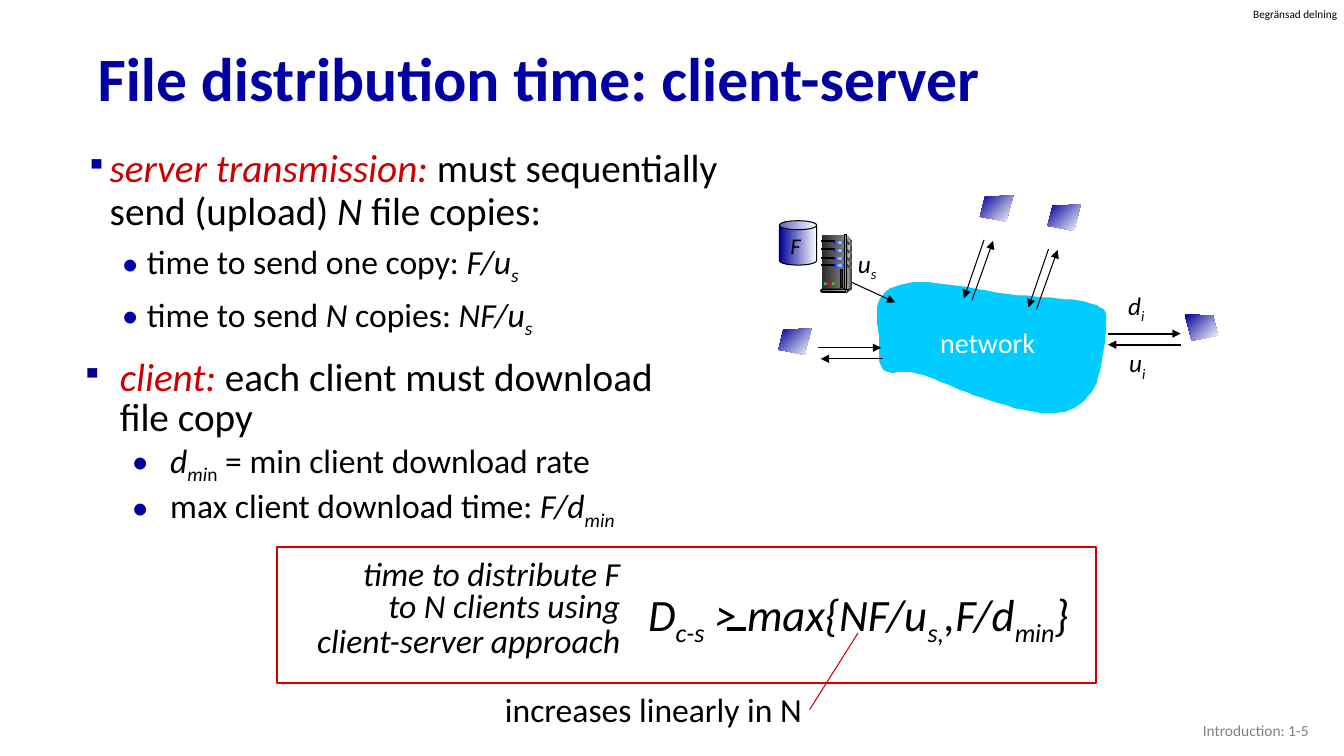
from dataclasses import dataclass

from lxml import etree
from pptx import Presentation
from pptx.dml.color import RGBColor
from pptx.enum.shapes import MSO_CONNECTOR as CONN, MSO_SHAPE as SHAPE
from pptx.enum.text import MSO_ANCHOR as ANCHOR, PP_ALIGN as ALIGN
from pptx.oxml.ns import qn
from pptx.util import Pt

PX = 9144  # 100 px to the inch
BLACK, RED, NAVY = "000000", "CC0000", "000099"
STEEL = ["292929", "808080"]
SHINE = ["0000FF", "99CCFF", "0000FF"]


@dataclass
class Para:
    runs: list  # (text, flags): i italic, _ subscript, r red
    size: int
    color: str = BLACK
    align: ALIGN = ALIGN.LEFT
    bold: bool = False
    spacing: float = 1.0
    before: int = 0
    bullet: str = ""
    bullet_color: str = NAVY
    left: int = 0
    hang: int = 0
    level: int = 0


def rgb(hex_color):
    return RGBColor.from_string(hex_color)


def sub(parent, tag, **attrs):
    return etree.SubElement(parent, qn(tag), attrs)


# Drawing helpers
def paint(sp, fill=None, line=None, width=0.75, angle=0):
    """A list of colours as fill makes an evenly spaced gradient."""
    sp.shadow.inherit = False
    if isinstance(fill, list):
        sp.fill.gradient()
        grad = sp._element.spPr.find(qn("a:gradFill"))
        for child in list(grad):
            grad.remove(child)
        stops = sub(grad, "a:gsLst")
        for i, color in enumerate(fill):
            gs = sub(stops, "a:gs", pos=str(100000 * i // (len(fill) - 1)))
            sub(gs, "a:srgbClr", val=color)
        sub(grad, "a:lin", ang=str(angle * 60000), scaled="0")
    elif fill:
        sp.fill.solid()
        sp.fill.fore_color.rgb = rgb(fill)
    else:
        sp.fill.background()
    if line:
        sp.line.color.rgb = rgb(line)
        sp.line.width = Pt(width)
    else:
        sp.line.fill.background()


def add_shape(s, kind, box, fill=None, line=None, width=0.75, adj=None):
    sp = s.shapes.add_shape(kind, *[v * PX for v in box])
    if adj is not None:
        sp.adjustments[0] = adj
    paint(sp, fill, line, width)


def add_outline(s, x, y, points, fill, angle=0):
    points = [(x + px, y + py) for px, py in points]
    builder = s.shapes.build_freeform(*points[0], scale=PX)
    builder.add_line_segments(points[1:], close=True)
    paint(builder.convert_to_shape(), fill, angle=angle)


def add_line(s, x1, y1, x2, y2, color=BLACK, width=0.75, arrow=False):
    ln = s.shapes.add_connector(CONN.STRAIGHT, x1 * PX, y1 * PX, x2 * PX, y2 * PX)
    ln.line.color.rgb = rgb(color)
    ln.line.width = Pt(width)
    sub(ln._element.spPr, "a:effectLst")
    if arrow:
        sub(ln.line._get_or_add_ln(), "a:tailEnd", type="triangle")


def add_bullet(p, para):
    pPr = p._p.get_or_add_pPr()
    pPr.set("marL", str(para.left * PX))
    pPr.set("indent", str(-para.hang * PX))
    sub(sub(pPr, "a:buClr"), "a:srgbClr", val=para.bullet_color)
    if para.bullet == "▪":
        sub(pPr, "a:buSzPct", val="75000")
    else:
        sub(pPr, "a:buFont", typeface="Calibri")
    sub(pPr, "a:buChar", char=para.bullet)


def add_text(s, box, paras, anchor=ANCHOR.TOP, inset=True):
    tf = s.shapes.add_textbox(*[v * PX for v in box]).text_frame
    tf.word_wrap = True
    tf.vertical_anchor = anchor
    if not inset:
        tf.margin_left = tf.margin_right = tf.margin_top = tf.margin_bottom = 0
    for i, para in enumerate(paras):
        p = tf.add_paragraph() if i else tf.paragraphs[0]
        p.alignment, p.level = para.align, para.level
        p.line_spacing = para.spacing
        p.space_before = Pt(para.before)
        if para.bullet:
            add_bullet(p, para)
        all_italic = all("i" in flags for _, flags in para.runs)
        p.font.name, p.font.size, p.font.bold = "Calibri", Pt(para.size), para.bold
        p.font.color.rgb = rgb(para.color)
        if all_italic:
            p.font.italic = True
        for text, flags in para.runs:
            r = p.add_run()
            r.text = text
            if "i" in flags and not all_italic:
                r.font.italic = True
            if "r" in flags:
                r.font.color.rgb = rgb(RED)
            if "_" in flags:
                r._r.get_or_add_rPr().set("baseline", "-25000")


def bezier(start, curves, steps=12):
    points = [start]
    for a, b, c in curves:
        p0 = points[-1]
        for t in (k / steps for k in range(1, steps + 1)):
            u = 1 - t
            points.append(tuple(
                u**3 * p0[j] + 3 * u * u * t * a[j] + 3 * u * t * t * b[j] + t**3 * c[j] for j in (0, 1)))
    return points


# Regions
def header_and_footer(s, x, y, w, h):
    add_text(s, (x + w - 90, y + 7, 90, 13), [Para([("Begränsad delning", "")], 8)], inset=False)
    add_text(s, (x + w - 325, y + h - 45, 300, 40),
             [Para([("Introduction: 1-5", "")], 11, "808080", ALIGN.RIGHT)], ANCHOR.MIDDLE)
    add_text(s, (x + 87, y + 32, 1150, 98),
             [Para([("File distribution time: client-server", "")], 44, "0000A3", bold=True, spacing=0.9)],
             ANCHOR.MIDDLE)


def bullets(s, x, y, w, h):
    step = dict(size=24, before=5, bullet="•", bullet_color="0000A8", left=76, hang=25, level=1)
    add_text(s, (x, y, w, 220), [
        Para([("server transmission: ", "ir"), ("must sequentially send (upload) ", ""), ("N ", "i"),
              ("file copies:", "")], 28, spacing=0.9, bullet="▪", bullet_color="0000A3", left=39, hang=24),
        Para([("time to send one copy: ", ""), ("F/u", "i"), ("s", "i_")], **step),
        Para([("time to send ", ""), ("N", "i"), (" copies: ", ""), ("NF/u", "i"), ("s", "i_")], **step)])
    step = dict(size=24, spacing=0.99, bullet="•", left=88, hang=38, level=1)
    add_text(s, (x + 11, y + h - 220, w - 36, 220), [
        Para([("client: ", "ir"), ("each client must download file copy", "")], 28,
             spacing=0.85, bullet="▪", left=38, hang=38),
        Para([("d", "i"), ("mi", "i_"), ("n", "_"), (" = min client download rate", "")], **step),
        Para([("max client download time: ", ""), ("F/d", "i"), ("min", "i_")], **step)])


def server(s, x, y, w, h):
    add_outline(s, x, y, [(26, 0), (w, 7), (w, 52), (25, 54)], ["DDDDDD", "333333"])
    add_shape(s, SHAPE.RECTANGLE, (x + 1, y, 23, 54), STEEL)
    add_outline(s, x, y, [(26, 4), (30, 8), (27, 30), (26, 53)], ["808080", "F8F8F8"])
    for slot in (y + 6, y + 14, y + 22, y + 29):
        add_shape(s, SHAPE.RECTANGLE, (x + 1, slot, 13, 1), BLACK, BLACK)
        add_shape(s, SHAPE.ROUNDED_RECTANGLE, (x + 13, slot, 13, 3), BLACK, adj=0.5)
        add_shape(s, SHAPE.ROUNDED_RECTANGLE, (x + 13, slot, 12, 3), SHINE, adj=0.5)
        add_outline(s, x, slot, [(25, 0), (w, 3), (w, 5), (25, 2)], STEEL)
    add_shape(s, SHAPE.RECTANGLE, (x + 24, y, 2, 54), ["333333", "DDDDDD", "333333"], BLACK)
    add_shape(s, SHAPE.OVAL, (x + 30, y + 52, 1, 2), "333333")
    add_outline(s, x, y, [(26, 54), (26, h), (w, 54), (w, 52)], "333333")
    add_shape(s, SHAPE.ROUNDED_RECTANGLE, (x, y + 54, 27, 3), "DDDDDD", BLACK, adj=0.5)
    add_shape(s, SHAPE.ROUNDED_RECTANGLE, (x + 1, y + 54, 24, 2), ["44546A", "E7E6E6"], BLACK, adj=0.5)
    for i, light in enumerate(("33CC33", "FF0000", "33CC33")):
        add_shape(s, SHAPE.OVAL, (x + 3 + 4 * i, y + 47, 3, 3), light)
    add_shape(s, SHAPE.RECTANGLE, (x + 20, y + 34, 2, 18), "292929", BLACK)


def network(s, x, y, w, h):
    add_outline(s, x + 97, y + 89, bezier((43, 1), [
        ((21, 2), (12, 8), (6, 17)), ((0, 26), (4, 44), (5, 56)), ((5, 67), (3, 82), (9, 88)),
        ((16, 94), (26, 87), (44, 92)), ((62, 97), (94, 113), (117, 119)),
        ((139, 126), (163, 133), (180, 131)), ((196, 129), (208, 122), (217, 108)),
        ((225, 94), (229, 62), (230, 47)), ((230, 33), (233, 28), (218, 23)),
        ((202, 17), (164, 16), (135, 13)), ((106, 9), (64, 0), (43, 1))]), "00CCFF")
    add_shape(s, SHAPE.CAN, (x + 3, y + 29, 37, 44), [NAVY, "FFFFFF"], BLACK, adj=0.242)
    # Traffic arrows
    arrows = [(68, 87, 118, 110, 0.75), (41, 155, 104, 155, 0.75), (106, 166, 44, 166, 0.75),
              (329, 141, 401, 141, 1.5), (401, 152, 329, 152, 1.5)]
    for dx, dy in ((186, 106), (250, 115)):
        arrows += [(dx + 20, dy - 58, dx, dy, 0.75), (dx + 8, dy + 2, dx + 29, dy - 57, 0.75)]
    for x1, y1, x2, y2, width in arrows:
        add_line(s, x + x1, y + y1, x + x2, y + y2, width=width, arrow=True)
    # Labels
    for dx, dy, name, index in ((71, 51, "u", "s"), (339, 93, "d", "i"), (340, 150, "u", "i")):
        add_text(s, (x + dx, y + dy, 55, 40), [Para([(name, "i"), (index, "i_")], 18)])
    add_text(s, (x + 152, y + 128, 115, 44), [Para([("network", "")], 20, "FFFFFF", ALIGN.CENTER)])
    add_text(s, (x - 1, y + 35, 40, 37), [Para([("F", "i")], 16, align=ALIGN.CENTER)])
    server(s, x + 44, y + 43, 31, 57)
    # Client screens
    screen = [(33, 0), (5, 1), (0, 21), (26, 26)]
    mirrored = [(33 - px, py) for px, py in screen]
    for dx, dy, points in ((2, 136, screen), (202, 4, screen), (269, 13, screen), (w - 43, 122, mirrored)):
        add_outline(s, x + dx, y + dy, points, [NAVY, "FFFFFF"], 45)


def formula(s, x, y, w, h):
    add_line(s, x + 528, y + 161, x + 576, y + 85, RED)
    add_text(s, (x + 216, y + h + 8, 330, 43), [Para([("increases linearly in N", "")], 24, spacing=0.8)])
    lines = ("time to distribute F", "to N clients using", "client-server approach")
    add_text(s, (x + 10, y + 8, 340, 113),
             [Para([(line, "i")], 24, align=ALIGN.RIGHT, spacing=0.8, before=2 * (i == 2))
              for i, line in enumerate(lines)])
    add_shape(s, SHAPE.RECTANGLE, (x, y, w, h), line=RED, width=1.5)
    add_text(s, (x + 358, y + 34, 480, 64), [Para([
        ("D", "i"), ("c-s", "i_"), (" > max{NF/u", "i"), ("s,", "i_"), (",F/d", "i"), ("min", "i_"),
        ("}", "i")], 32)])
    add_line(s, x + 446, y + 81, x + 465, y + 81, width=2.25)


def main():
    prs = Presentation()
    prs.slide_width, prs.slide_height = 1333 * PX, 750 * PX
    s = prs.slides.add_slide(prs.slide_layouts[6])
    header_and_footer(s, 0, 0, 1333, 750)
    bullets(s, 60, 143, 667, 429)
    network(s, 770, 190, 448, 225)
    formula(s, 275, 543, 812, 135)
    prs.save("out.pptx")


if __name__ == "__main__":
    main()
